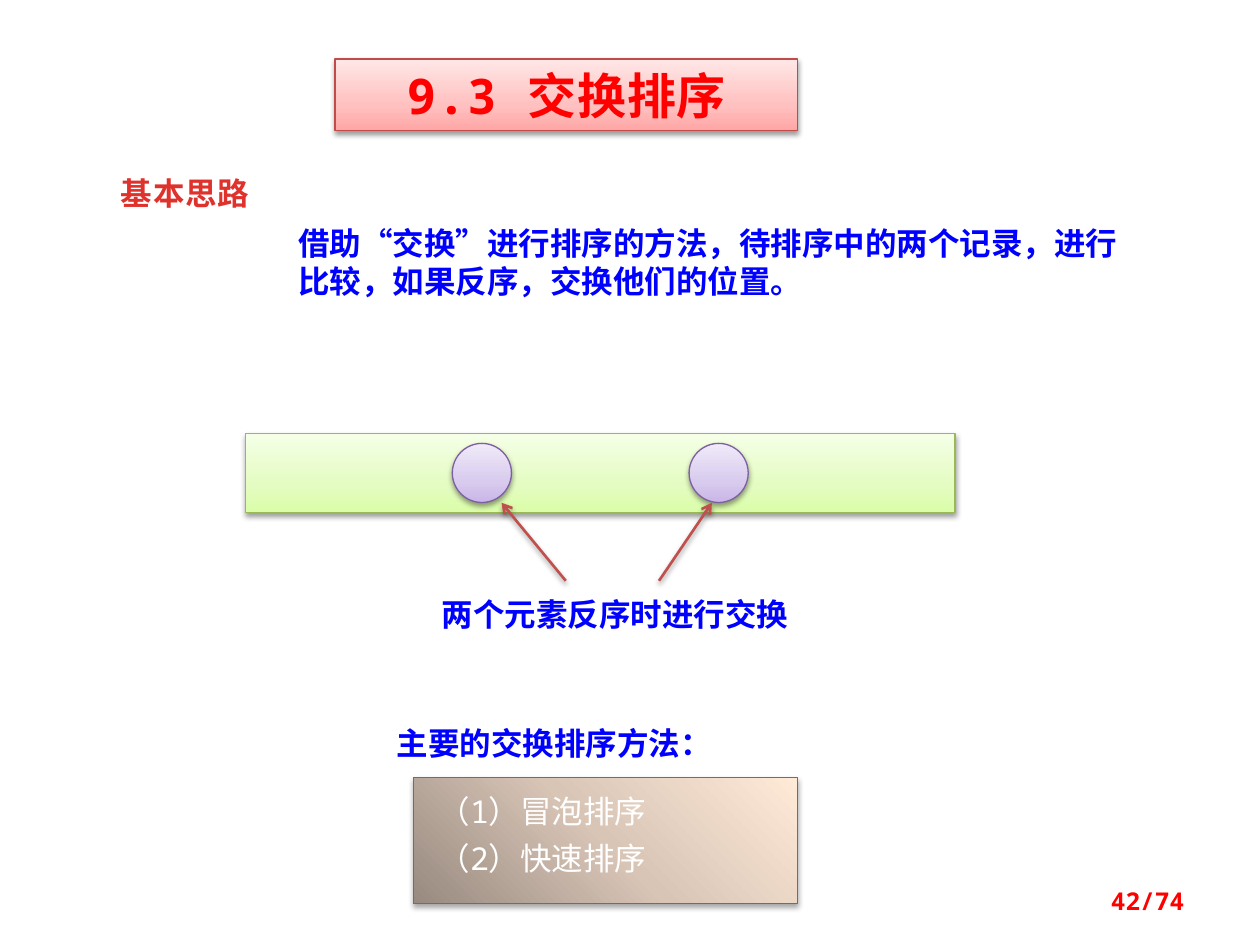
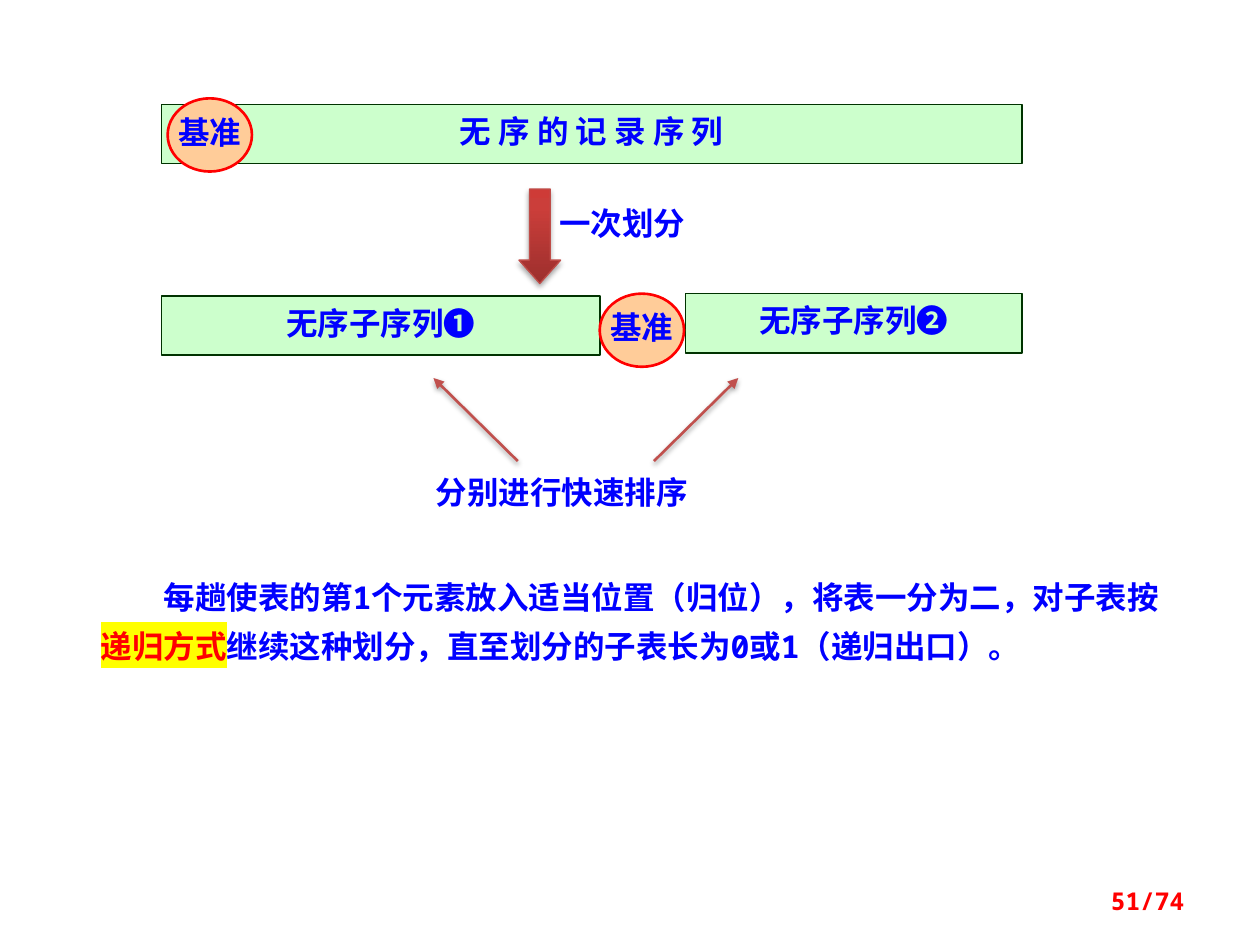
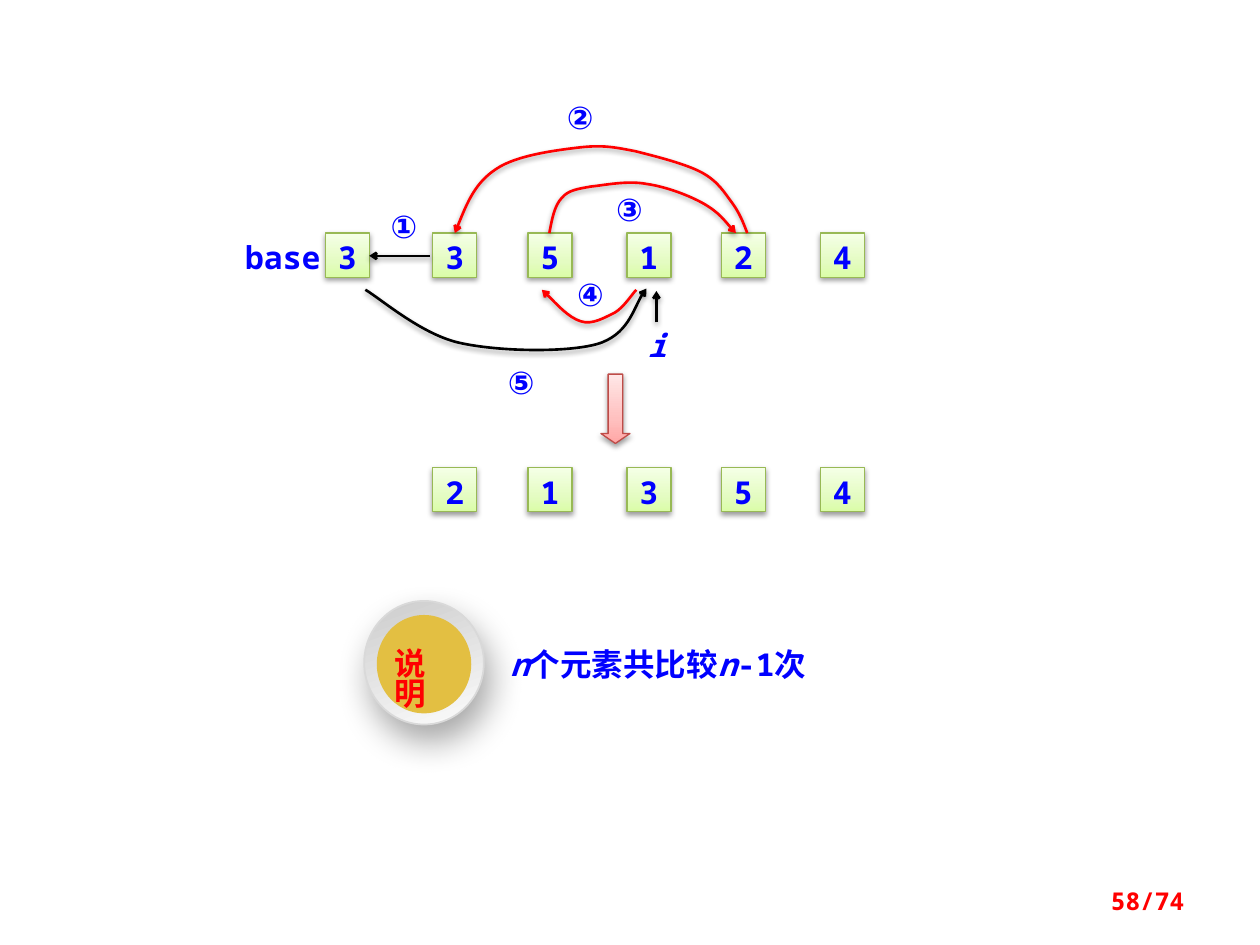
"""Build three slides on exchange sorting."""
import lxml.etree
import pptx
import pptx.dml.color
import pptx.enum.shapes
import pptx.enum.text
import pptx.oxml.ns
import pptx.util

Pt = pptx.util.Pt
RGB = pptx.dml.color.RGBColor
qn = pptx.oxml.ns.qn
KIND = pptx.enum.shapes.MSO_SHAPE
ALIGN = pptx.enum.text.PP_ALIGN
ANCHOR = pptx.enum.text.MSO_ANCHOR

MONO = "Noto Sans Mono"
SANS = "Noto Sans CJK SC"
BLUE = RGB(0x00, 0x00, 0xFF)
RED = RGB(0xFF, 0x00, 0x00)
BLACK = RGB(0x00, 0x00, 0x00)
WHITE = RGB(0xFF, 0xFF, 0xFF)
YELLOW = RGB(0xFF, 0xFF, 0x00)
BRICK = RGB(0xBF, 0x4C, 0x48)
RUST = RGB(0xC0, 0x50, 0x4D)
CRIMSON = RGB(0xE0, 0x32, 0x2D)
LEAF = RGB(0x98, 0xB9, 0x55)
PLUM = RGB(0x7D, 0x60, 0xA0)
MINT = RGB(0xCC, 0xFF, 0xCC)
FOREST = RGB(0x00, 0x33, 0x00)
PEACH = RGB(0xFF, 0xCC, 0x99)
SILVER = RGB(0xD9, 0xD9, 0xD9)
GOLD = RGB(0xE3, 0xBF, 0x42)
PINKS = ((0, RGB(0xFF, 0xA6, 0xA5)), (35, RGB(0xFF, 0xC0, 0xBF)), (100, RGB(0xFF, 0xE7, 0xE7)))
LIMES = ((0, RGB(0xDA, 0xFD, 0xA7)), (35, RGB(0xE4, 0xFC, 0xC2)), (100, RGB(0xF5, 0xFF, 0xE7)))
LILACS = ((0, RGB(0xC9, 0xB5, 0xE8)), (35, RGB(0xD8, 0xCB, 0xEE)), (100, RGB(0xF0, 0xEA, 0xF9)))
REDS = ((0, RGB(0x9C, 0x2F, 0x2D)), (80, RGB(0xCB, 0x3E, 0x3A)), (100, RGB(0xCE, 0x3B, 0x37)))
TANS = ((0, RGB(0x98, 0x8A, 0x80)), (50, RGB(0xD8, 0xC5, 0xB6)), (100, RGB(0xFF, 0xEA, 0xD8)))
GREYS = ((0, RGB(0xCC, 0xCC, 0xCC)), (100, RGB(0xFC, 0xFC, 0xFC)))
SOFT = (38, 3.1, 1.6, 90)
FIRM = (35, 3.1, 1.8, 90)
DEEP = (34, 20, 10, 70)
INSET = (7.2, 3.6, 7.2, 3.6)


def add(parent, tag, **attrs):
    """Add a child element with the given attributes."""
    return lxml.etree.SubElement(parent, qn(tag), {key: str(val) for key, val in attrs.items()})


class Deck:
    """Hold the style and the current slide."""

    def __init__(self):
        """Start a 10 by 7.5 inch deck."""
        self.show = pptx.Presentation()
        self.show.slide_width, self.show.slide_height = Pt(720), Pt(540)

    def page(self, number, layout=6):
        """Add a slide with its page number."""
        self.slide = self.show.slides.add_slide(self.show.slide_layouts[layout])
        self.shapes = self.slide.shapes
        self.label((516.2, 500.4, 167.8, 28.8), f"{number}/74", size=14, color=RED,
                   align=ALIGN.RIGHT, anchor=ANCHOR.MIDDLE)

    def place(self, shape, box):
        """Move a placeholder to a box."""
        shape.left, shape.top, shape.width, shape.height = map(Pt, box)
        return shape

    def shade(self, shape, cast):
        """Give a shape its shadow."""
        props = shape._element.spPr
        effect = props.find(qn("a:effectLst"))
        if effect is None:
            effect = add(props, "a:effectLst")
        if cast:
            alpha, blur, dist, angle = cast
            outer = add(effect, "a:outerShdw", blurRad=Pt(blur), dist=Pt(dist),
                        dir=angle * 60000, algn="ctr", rotWithShape=0)
            add(add(outer, "a:srgbClr", val=BLACK), "a:alpha", val=alpha * 1000)

    def paint(self, shape, fill, line=None, width=0.75, cast=None, angle=270):
        """Set fill, line and shadow; an angle of None means a corner glow."""
        if isinstance(fill, RGB):
            shape.fill.solid()
            shape.fill.fore_color.rgb = fill
        else:
            shape.fill.gradient()
            grad = shape._element.spPr.find(qn("a:gradFill"))
            for child in list(grad):
                grad.remove(child)
            stops = add(grad, "a:gsLst")
            for pos, color in fill:
                add(add(stops, "a:gs", pos=pos * 1000), "a:srgbClr", val=color)
            if angle is None:
                add(add(grad, "a:path", path="circle"), "a:fillToRect", t=100000, r=100000)
            else:
                add(grad, "a:lin", ang=angle * 60000, scaled=1)
        if line is None:
            shape.line.fill.background()
        else:
            shape.line.color.rgb = line
            shape.line.width = Pt(width)
        shape.shadow.inherit = False
        self.shade(shape, cast)
        return shape

    def form(self, kind, box, fill, line=None, **look):
        """Draw a preset shape."""
        return self.paint(self.shapes.add_shape(kind, *map(Pt, box)), fill, line, **look)

    def put(self, shape, *paras, size=18, color=BLUE, bold=True, font=MONO, align=ALIGN.LEFT,
            anchor=ANCHOR.TOP, inset=INSET, wrap=True, space=1.0, gap=0, first=0,
            track=0, plain=False):
        """Set paragraphs, each a string or a tuple of runs."""
        frame = shape.text_frame
        frame.auto_size = pptx.enum.text.MSO_AUTO_SIZE.NONE
        frame.word_wrap = wrap
        frame.vertical_anchor = anchor
        frame.margin_left, frame.margin_top, frame.margin_right, frame.margin_bottom = map(Pt, inset)
        for count, parts in enumerate(paras):
            para = frame.add_paragraph() if count else frame.paragraphs[0]
            props = para._p.get_or_add_pPr()
            props.set("marL", "0")
            props.set("indent", str(Pt(first)))
            if plain:
                add(props, "a:buNone")
            para.alignment = align
            para.line_spacing = space
            para.space_before = Pt(gap if count else 0)
            for text in (parts,) if isinstance(parts, str) else parts:
                run = para.add_run()
                run.text = text
                run.font.size, run.font.bold, run.font.name = Pt(size), bold, font
                run.font.color.rgb = color
                add(run.font._element, "a:ea", typeface=SANS)
                if track:
                    run.font._element.set("spc", str(track))
        return frame.paragraphs[0].runs

    def label(self, box, *paras, **look):
        """Add a text box."""
        return self.put(self.shapes.add_textbox(*map(Pt, box)), *paras, **look)

    def tip(self, shape, color, head, size, cast=SOFT):
        """Style a line and put a head on its end."""
        shape.line.color.rgb = color
        shape.line.width = Pt(1.5)
        add(shape._element.spPr.find(qn("a:ln")), "a:tailEnd", type=head, w=size, len=size)
        self.shade(shape, cast)

    def arrow(self, start, end, color=RUST, head="arrow", size="med"):
        """Draw a straight arrow."""
        line = self.shapes.add_connector(pptx.enum.shapes.MSO_CONNECTOR.STRAIGHT,
                                         *map(Pt, start + end))
        self.tip(line, color, head, size)

    def curve(self, color, *points):
        """Draw a curved arrow through cubic control points."""
        spots = [(Pt(x), Pt(y)) for x, y in points]
        pen = self.shapes.build_freeform(*spots[0])
        pen.add_line_segments(spots[1:], close=False)
        shape = pen.convert_to_shape()
        legs = list(shape._element.iter(qn("a:lnTo")))
        for k in range(0, len(legs), 3):
            bend = lxml.etree.Element(qn("a:cubicBezTo"))
            legs[k].addprevious(bend)
            for leg in legs[k:k + 3]:
                bend.append(leg[0])
                leg.getparent().remove(leg)
        shape.fill.background()
        shape.shadow.inherit = False
        self.tip(shape, color, "arrow", "sm")

    def band(self, box, text, width=1):
        """Draw a record sequence."""
        shape = self.form(KIND.RECTANGLE, box, MINT, FOREST, width=width)
        self.put(shape, text, align=ALIGN.CENTER, space=0.8, inset=(7.2, 8.6, 7.2, 3.6))

    def pivot(self, left, top):
        """Draw the pivot disc."""
        shape = self.form(KIND.OVAL, (left, top, 48.2, 41.8), PEACH, RED, width=1.5)
        self.put(shape, "基准", align=ALIGN.CENTER, anchor=ANCHOR.MIDDLE, wrap=False, space=0.8)

    def cell(self, left, top, text):
        """Draw one array cell."""
        shape = self.form(KIND.RECTANGLE, (left, top, 25.2, 25.2), LIMES, LEAF, cast=SOFT)
        self.put(shape, text, align=ALIGN.CENTER, inset=(0, 2.9, 0, 0))

    def mark(self, left, top, text, width=22.3, height=23):
        """Draw a white tag."""
        shape = self.form(KIND.RECTANGLE, (left, top, width, height), WHITE)
        return self.put(shape, text, align=ALIGN.CENTER, inset=(0, 0, 0, 0))

    def drop(self, box, fill, ratio, cast):
        """Draw a block arrow pointing down."""
        shape = self.form(KIND.DOWN_ARROW, box, fill, BRICK, cast=cast)
        shape.adjustments[1] = ratio


def idea(deck):
    """Build the slide on the basic idea."""
    deck.page(42, layout=1)
    title = deck.place(deck.shapes.title, (191.5, 33.8, 264.2, 41))
    deck.paint(title, PINKS, BRICK, cast=SOFT)
    deck.put(title, "9.3 交换排序", size=28, color=RED, align=ALIGN.CENTER, track=50)
    deck.form(KIND.RECTANGLE, (140.4, 247.7, 405.4, 45.4), LIMES, LEAF, cast=SOFT)
    for left in (393.8, 258.5):
        deck.form(KIND.OVAL, (left, 253.4, 33.8, 33.8), LILACS, PLUM, cast=SOFT)
    deck.label((230.4, 340.6, 241.9, 24.5), "两个元素反序时进行交换", align=ALIGN.CENTER, space=0.8)
    deck.arrow((323.3, 331.9), (286.6, 287.3))
    deck.arrow((376.6, 331.9), (406.8, 287.3))
    deck.label((61.9, 95.8, 101.5, 28.8), "基本思路", color=CRIMSON, font=SANS, track=50)
    deck.label((219.6, 410.4, 202.3, 28.8), "主要的交换排序方法：")
    deck.label((163.4, 124.6, 495.4, 51.1),
               "借助“交换”进行排序的方法，待排序中的两个记录，进行比较，如果反序，交换他们的位置。")
    body = deck.place(deck.slide.placeholders[1], (236.2, 444.2, 219.6, 72))
    deck.paint(body, TANS, BRICK, cast=FIRM, angle=None)
    deck.put(body, "（1）冒泡排序", "（2）快速排序", color=WHITE, bold=False, gap=5,
             inset=(14.4, 8.6, 7.2, 8.6), plain=True)


def split(deck):
    """Build the slide on quick sort partition."""
    deck.page(51)
    deck.band((92.2, 59.8, 491.8, 33.8), "无 序 的 记 录 序 列", width=0.75)
    deck.band((92.2, 169.2, 250.6, 33.8), "无序子序列❶")
    deck.band((391.7, 167.8, 192.2, 33.8), "无序子序列❷")
    deck.pivot(342.7, 167.8)
    deck.pivot(95.8, 56.2)
    deck.drop((296.6, 108, 23.8, 54), REDS, 0.56, FIRM)
    deck.label((312.5, 117.4, 87.8, 24.5), "一次划分", wrap=False, space=0.8)
    deck.arrow((295.9, 263.5), (247.7, 216), head="triangle")
    deck.arrow((373.7, 263.5), (421.9, 216), head="triangle")
    deck.label((241.9, 270.7, 161.3, 24.5), "分别进行快速排序", wrap=False, space=0.8)
    runs = deck.label((50.4, 320.4, 635.8, 61.2),
                      ("每趟使表的第1个元素放入适当位置（归位），将表一分为二，对子表按", "递归方式",
                       "继续这种划分，直至划分的子表长为0或1（递归出口）。"), space=Pt(28), first=36)
    runs[1].font.color.rgb = RED
    glow = lxml.etree.Element(qn("a:highlight"))
    add(glow, "a:srgbClr", val=YELLOW)
    runs[1].font._element.find(qn("a:solidFill")).addnext(glow)


def trace(deck):
    """Build the slide that traces one partition."""
    deck.page(58)
    for left, top, text in ((286.6, 207.4, "⑤"), (326.2, 157, "④"), (348.5, 108.7, "③"),
                            (219.6, 118.1, "①"), (320.4, 56.2, "②")):
        deck.mark(left, top, text)
    deck.mark(134.6, 136.1, "base", width=54)
    deck.cell(185.8, 133.2, "3")
    for top, row in ((133.2, "35124"), (267.1, "21354")):
        for left, digit in zip((247.3, 301.7, 358.2, 412.2, 468.7), row):
            deck.cell(left, top, digit)
    deck.arrow((245.5, 146.2), (211, 146.2), BLACK, size="sm")
    deck.curve(RED, (427, 133.2), (424.8, 127.4), (422.6, 121.7), (418.3, 115.9),
               (414, 110.2), (410.4, 103.7), (401, 98.6), (391.7, 93.6), (374.4, 89.3),
               (362.9, 86.4), (351.4, 84.2), (344.9, 82.8), (331.9, 84.2), (319, 85.7),
               (295.2, 88.6), (283.7, 96.5), (271.4, 104.4), (265.7, 118.8), (259.9, 133.2))
    deck.curve(RED, (313.9, 133.2), (315.4, 125.3), (316.8, 117.4), (321.1, 113),
               (324.7, 108.7), (329.8, 108), (337.7, 106.6), (345.6, 105.8), (358.6, 103),
               (369.4, 105.1), (380.2, 106.6), (393.8, 111.6), (402.5, 116.6),
               (411.1, 121.7), (416.9, 129.6), (420.5, 133.2))
    deck.curve(RED, (363.6, 165.6), (361.4, 167.8), (356.4, 175.7), (351.4, 178.6),
               (345.6, 181.4), (338.4, 185.8), (331.9, 183.6), (324.7, 181.4),
               (313.9, 169.2), (309.6, 165.6))
    deck.curve(BLACK, (208.8, 165.6), (217.4, 170.6), (240.5, 190.8), (262.1, 195.8),
               (284.4, 200.9), (323.3, 201.6), (341.3, 196.6), (358.6, 191.5),
               (363.6, 171.4), (369.4, 164.9))
    deck.drop((343.4, 213.8, 16.6, 39.6), PINKS, 0.34, SOFT)
    deck.mark(370.1, 186.5, "i", width=10.8, height=21.6)[0].font.italic = True
    deck.arrow((375.1, 184.3), (375.1, 166.3), BLACK, size="sm")
    runs = deck.label((284.4, 356.4, 184.3, 37.4), ("n", "个元素共比较", "n", "-1次"), space=Pt(30))
    for run in runs[::2]:
        run.font.italic = True
    deck.form(KIND.OVAL, (208.1, 343.4, 68.4, 70.6), GREYS, SILVER, width=1, cast=DEEP, angle=70)
    deck.form(KIND.OVAL, (215.3, 351.4, 54, 56.2), GOLD)
    deck.label((218.2, 368.6, 49, 24.5), "说明", color=RED, font=SANS, space=0.8)


def main():
    """Build and save the deck."""
    deck = Deck()
    idea(deck)
    split(deck)
    trace(deck)
    deck.show.save("out.pptx")


if __name__ == "__main__":
    main()
